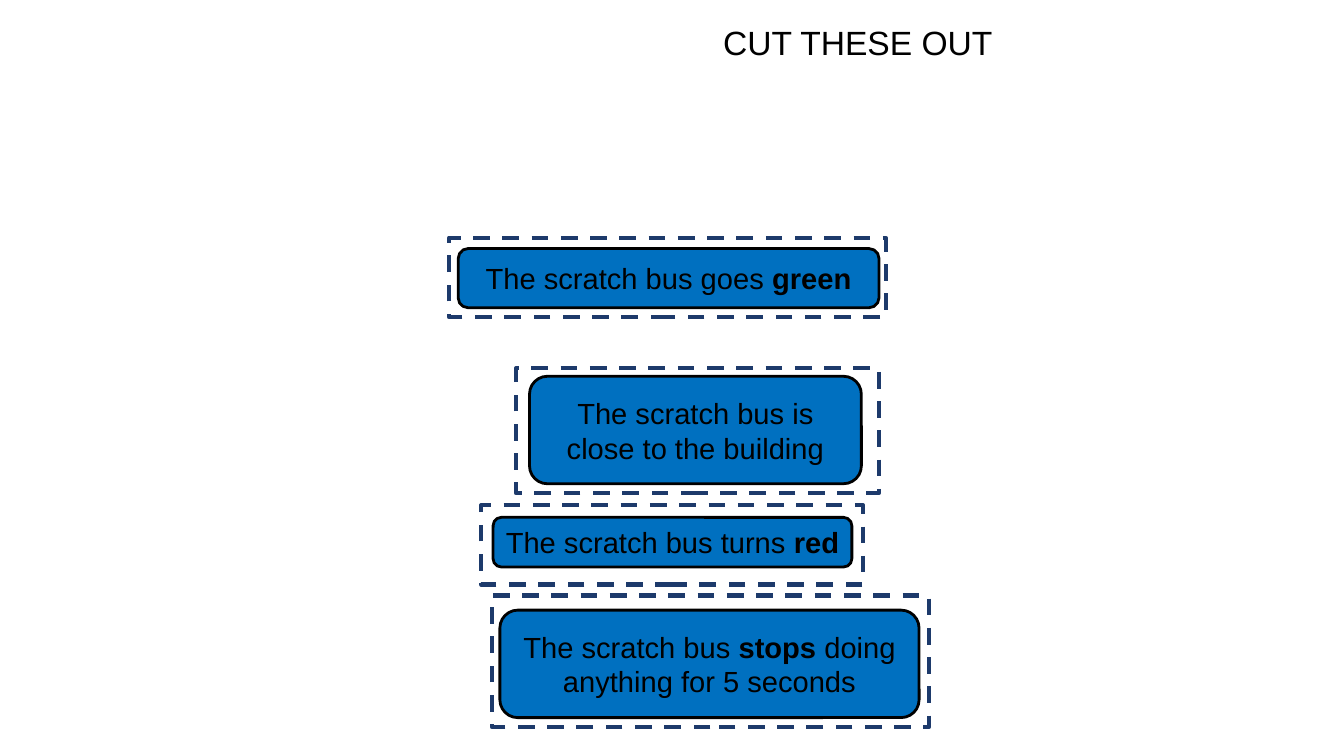
from dataclasses import dataclass

from pptx import Presentation
from pptx.dml.color import RGBColor
from pptx.enum.dml import MSO_LINE
from pptx.enum.shapes import MSO_SHAPE
from pptx.enum.text import MSO_ANCHOR, PP_ALIGN
from pptx.util import Pt

RECT, ROUNDED = MSO_SHAPE.RECTANGLE, MSO_SHAPE.ROUNDED_RECTANGLE
DASH = MSO_LINE.DASH
TOP, MIDDLE = MSO_ANCHOR.TOP, MSO_ANCHOR.MIDDLE
LEFT, CENTER = PP_ALIGN.LEFT, PP_ALIGN.CENTER
TITLE_ONLY = 5


@dataclass(frozen=True)
class Theme:
    font: str = "Arial"
    title_size: float = 18
    card_size: float = 15.6
    text: RGBColor = RGBColor(0, 0, 0)
    paper: RGBColor = RGBColor(255, 255, 255)
    cut_line: RGBColor = RGBColor(0x1D, 0x3A, 0x6B)
    card: RGBColor = RGBColor(0x00, 0x70, 0xC0)
    card_line: RGBColor = RGBColor(0, 0, 0)


THEME = Theme()

# Cut-out box, card box (left, top, width, height), runs (text, bold)
CARDS = [
    ((240.5, 127.4, 234, 42.5), (245.5, 133.2, 225.4, 31.7),
     [("The scratch bus goes ", False), ("green", True)]),
    ((276.5, 197.3, 194.4, 67), (283.7, 201.6, 177.8, 57.6),
     [("The scratch bus is close to the building", False)]),
    ((257.8, 270.7, 204.5, 42.5), (264.2, 277.2, 192.2, 26.6),
     [("The scratch bus turns ", False), ("red", True)]),
    ((263.5, 319, 234, 70.6), (267.8, 326.9, 224.6, 57.6),
     [("The scratch bus ", False), ("stops", True),
      (" doing anything for 5 seconds", False)]),
]


def add_box(s, kind, box, fill, line, width):
    sp = s.shapes.add_shape(kind, *map(Pt, box))
    sp.shadow.inherit = False
    sp.fill.solid()
    sp.fill.fore_color.rgb = fill
    sp.line.color.rgb = line
    sp.line.width = Pt(width)
    return sp


def write(tf, runs, size, align, anchor, inset_x, inset_y):
    tf.word_wrap = True
    tf.vertical_anchor = anchor
    tf.margin_left = tf.margin_right = Pt(inset_x)
    tf.margin_top = tf.margin_bottom = Pt(inset_y)
    p = tf.paragraphs[0]
    p.alignment = align
    p.line_spacing = 1.0
    p.space_before = Pt(0)
    for text, bold in runs:
        r = p.add_run()
        r.text = text
        r.font.name = THEME.font
        r.font.size = Pt(size)
        r.font.bold = bold
        r.font.color.rgb = THEME.text


def add_title(s, box, text):
    sp = s.shapes.title
    sp.left, sp.top, sp.width, sp.height = map(Pt, box)
    write(sp.text_frame, [(text, False)], THEME.title_size, LEFT, TOP, 7.2, 3.6)


def add_card(s, cut_box, card_box, runs):
    # Dashed cutting guide
    guide = add_box(s, RECT, cut_box, THEME.paper, THEME.cut_line, 2.25)
    guide.line.dash_style = DASH
    # Card with its text
    card = add_box(s, ROUNDED, card_box, THEME.card, THEME.card_line, 1.5)
    card.adjustments[0] = 0.167
    write(card.text_frame, runs, THEME.card_size, CENTER, MIDDLE, 3.6, 3.6)


def main():
    prs = Presentation()
    prs.slide_width, prs.slide_height = Pt(720), Pt(405)
    s = prs.slides.add_slide(prs.slide_layouts[TITLE_ONLY])
    add_title(s, (380.2, 7.9, 170.6, 28.8), "CUT THESE OUT")
    for cut_box, card_box, runs in CARDS:
        add_card(s, cut_box, card_box, runs)
    prs.save("out.pptx")


if __name__ == "__main__":
    main()
